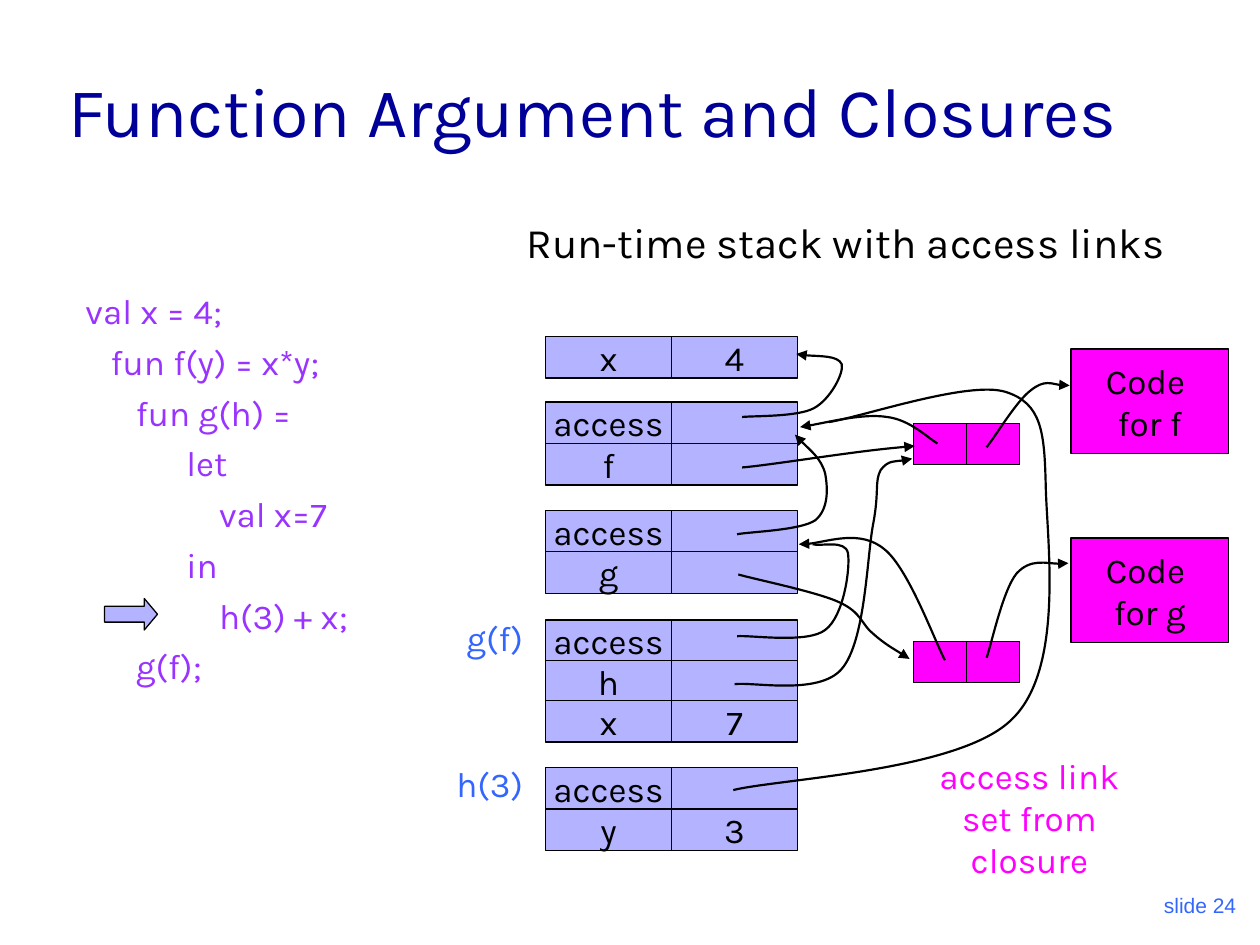
from dataclasses import dataclass

from lxml.etree import SubElement
from pptx import Presentation
from pptx.dml.color import RGBColor
from pptx.enum.shapes import MSO_SHAPE
from pptx.enum.text import MSO_ANCHOR, MSO_AUTO_SIZE, PP_ALIGN
from pptx.oxml.ns import qn
from pptx.util import Inches, Pt


@dataclass(frozen=True)
class Theme:
    """Colours, fonts and sizes of the slide."""
    font: str = "Karla"
    footer_font: str = "Arial"
    title: str = "000099"
    ink: str = "000000"
    code: str = "9933FF"
    label: str = "3366FF"
    stack: str = "B3B3FF"
    closure: str = "FF00FF"
    title_size: float = 40
    heading_size: float = 24
    text_size: float = 20
    footer_size: float = 12
    box_line: float = 0.74
    link_line: float = 1.25


THEME = Theme()
ROW_H = 0.33
STACK_X, CELL_W = 4.33, 1
CLOSURE_X, CLOSURE_W = 7.25, 0.42

# (line, indent in inches)
CODE = [("val x = 4;", 0), ("fun f(y) = x*y;", 0.2), ("fun g(h) =", 0.4),
        ("let", 0.8), ("val x=7", 1.06), ("in", 0.8),
        ("h(3) + x;", 1.06), ("g(f);", 0.4)]

# (top, row pitch, rows of name and value)
RECORDS = [
    (2.67, ROW_H, [("x", "4")]),
    (3.19, ROW_H, [("access", ""), ("f", "")]),
    (4.05, ROW_H, [("access", ""), ("g", "")]),
    (4.92, 0.32, [("access", ""), ("h", ""), ("x", "7")]),
    (6.09, ROW_H, [("access", ""), ("y", "3")]),
]

# (has arrowhead, start point followed by Bezier triples)
LINKS = [
    (True, [(7.83, 3.55), (7.89, 3.48), (8.07, 3.18), (8.18, 3.1),
            (8.29, 3.01), (8.43, 3.07), (8.49, 3.06)]),
    (True, [(5.89, 3.31), (5.99, 3.3), (6.33, 3.31), (6.46, 3.24),
            (6.59, 3.17), (6.7, 2.96), (6.68, 2.89),
            (6.65, 2.82), (6.39, 2.83), (6.32, 2.81)]),
    (True, [(7.44, 3.52), (7.37, 3.48), (7.22, 3.33), (7.04, 3.31),
            (6.86, 3.28), (6.49, 3.37), (6.35, 3.39)]),
    (True, [(5.89, 3.71), (6.03, 3.7), (6.49, 3.63), (6.72, 3.6),
            (6.94, 3.57), (7.14, 3.55), (7.26, 3.54)]),
    (False, [(5.82, 6.27), (6.19, 6.18), (7.62, 6.12), (8.03, 5.71),
             (8.45, 5.31), (8.31, 4.3), (8.3, 3.86),
             (8.29, 3.43), (8.27, 3.2), (7.98, 3.11),
             (7.69, 3.02), (6.87, 3.3), (6.58, 3.35)]),
    (False, [(5.85, 5.05), (5.96, 5.04), (6.41, 5.11), (6.55, 5),
             (6.7, 4.89), (6.75, 4.5), (6.73, 4.39),
             (6.71, 4.28), (6.51, 4.34), (6.45, 4.32)]),
    (True, [(5.83, 5.43), (5.98, 5.41), (6.5, 5.52), (6.68, 5.31),
            (6.87, 5.09), (6.88, 4.42), (6.93, 4.16),
            (6.98, 3.9), (6.94, 3.82), (6.99, 3.73),
            (7.05, 3.65), (7.19, 3.66), (7.24, 3.64)]),
    (True, [(5.85, 4.24), (5.95, 4.22), (6.35, 4.21), (6.47, 4.13),
            (6.58, 4.04), (6.57, 3.87), (6.55, 3.76),
            (6.52, 3.64), (6.36, 3.51), (6.31, 3.45)]),
    (True, [(7.5, 5.24), (7.42, 5.09), (7.21, 4.51), (7.02, 4.36),
            (6.83, 4.2), (6.48, 4.33), (6.34, 4.32)]),
    (True, [(7.83, 5.22), (7.87, 5.11), (7.96, 4.68), (8.07, 4.55),
            (8.18, 4.43), (8.4, 4.49), (8.48, 4.47)]),
    (True, [(5.86, 4.56), (6, 4.6), (6.49, 4.7), (6.66, 4.78),
            (6.84, 4.86), (6.84, 4.96), (6.93, 5.03),
            (7.02, 5.11), (7.16, 5.19), (7.22, 5.23)]),
]


def style(p, color, size=THEME.text_size, align=PP_ALIGN.LEFT, font=THEME.font):
    """Set the font and alignment of a paragraph."""
    p.alignment = align
    p.font.name = font
    p.font.size = Pt(size)
    p.font.color.rgb = RGBColor.from_string(color)


def add_title(s, text):
    """Place the slide title."""
    sp = s.shapes.title
    sp.left, sp.top, sp.width, sp.height = map(Inches, (0.44, 0.25, 8.89, 1))
    tf = sp.text_frame
    tf.text = text
    tf.auto_size = MSO_AUTO_SIZE.NONE
    tf.vertical_anchor = MSO_ANCHOR.BOTTOM
    style(tf.paragraphs[0], THEME.title, THEME.title_size)


def add_text(s, box, text, color, **font):
    """Add a wrapping text box and return its text frame."""
    tf = s.shapes.add_textbox(*map(Inches, box)).text_frame
    tf.word_wrap = True
    tf.text = text
    style(tf.paragraphs[0], color, **font)
    return tf


def add_code(s):
    """List the program, each line with its own indent."""
    tf = add_text(s, (0.58, 2.25, 2.92, 4.25), CODE[0][0], THEME.code)
    for line, indent in CODE[1:]:
        p = tf.add_paragraph()
        p.text = line
        p.space_before = Pt(5)
        p._p.get_or_add_pPr().set("marL", str(Inches(indent)))
        style(p, THEME.code)


def add_box(s, box, fill, text="", kind=MSO_SHAPE.RECTANGLE):
    """Add an outlined shape with centred text."""
    sp = s.shapes.add_shape(kind, *map(Inches, box))
    sp.shadow.inherit = False
    sp.fill.solid()
    sp.fill.fore_color.rgb = RGBColor.from_string(fill)
    sp.line.color.rgb = RGBColor.from_string(THEME.ink)
    sp.line.width = Pt(THEME.box_line)
    if text:
        tf = sp.text_frame
        tf.word_wrap = False
        tf.vertical_anchor = MSO_ANCHOR.MIDDLE
        tf.text = text
        for p in tf.paragraphs:
            style(p, THEME.ink, align=PP_ALIGN.CENTER)
    return sp


def add_record(s, top, pitch, rows):
    """Add one activation record of name and value cells."""
    for i, row in enumerate(rows):
        for j, text in enumerate(row):
            add_box(s, (STACK_X + j * CELL_W, top + i * pitch, CELL_W, ROW_H),
                    THEME.stack, text)


def add_closure(s, top, code_top, name):
    """Add a closure pair and the code block that it refers to."""
    for i in range(2):
        add_box(s, (CLOSURE_X + i * CLOSURE_W, top, CLOSURE_W, ROW_H), THEME.closure)
    add_box(s, (8.5, code_top, 1.25, 0.83), THEME.closure, f"Code \nfor {name}")


def add_link(s, points, arrow):
    """Draw a curved pointer through Bezier points."""
    start, *rest = [(Inches(x), Inches(y)) for x, y in points]
    builder = s.shapes.build_freeform(*start)
    builder.add_line_segments(rest, close=False)
    sp = builder.convert_to_shape()
    segments = list(sp._element.iter(qn("a:lnTo")))
    for i in range(0, len(segments), 3):
        curve = segments[i]
        curve.tag = qn("a:cubicBezTo")
        for segment in segments[i + 1:i + 3]:
            curve.append(segment[0])
            segment.getparent().remove(segment)
    sp.shadow.inherit = False
    sp.fill.background()
    sp.line.color.rgb = RGBColor.from_string(THEME.ink)
    sp.line.width = Pt(THEME.link_line)
    if arrow:
        SubElement(sp.line._get_or_add_ln(), qn("a:tailEnd"), type="triangle")


def main():
    """Build the slide and save it."""
    prs = Presentation()
    prs.slide_width, prs.slide_height = Inches(10), Inches(7.5)
    s = prs.slides.add_slide(prs.slide_layouts[5])
    add_title(s, "Function Argument and Closures")
    add_text(s, (4.08, 1.67, 5.42, 0.67), "Run-time stack with access links",
             THEME.ink, size=THEME.heading_size)
    add_code(s)
    arrow = add_box(s, (0.83, 4.75, 0.42, 0.25), THEME.stack,
                    kind=MSO_SHAPE.RIGHT_ARROW)
    arrow.adjustments[1] = 0.42
    for record in RECORDS:
        add_record(s, *record)
    for top, call in ((4.84, "g(f)"), (6, "h(3)")):
        add_text(s, (2.83, top, 1.42, 0.44), call, THEME.label, align=PP_ALIGN.RIGHT)
    add_closure(s, 3.36, 2.77, "f")
    add_closure(s, 5.09, 4.27, "g")
    for has_arrow, points in LINKS:
        add_link(s, points, has_arrow)
    add_text(s, (7.17, 5.94, 2, 1.1), "access link set from closure",
             THEME.closure, align=PP_ALIGN.CENTER)
    footer = add_text(s, (7.83, 6.83, 2.08, 0.5), "slide 24", THEME.label,
                      size=THEME.footer_size, align=PP_ALIGN.RIGHT,
                      font=THEME.footer_font)
    footer.vertical_anchor = MSO_ANCHOR.BOTTOM
    prs.save("out.pptx")


main()
